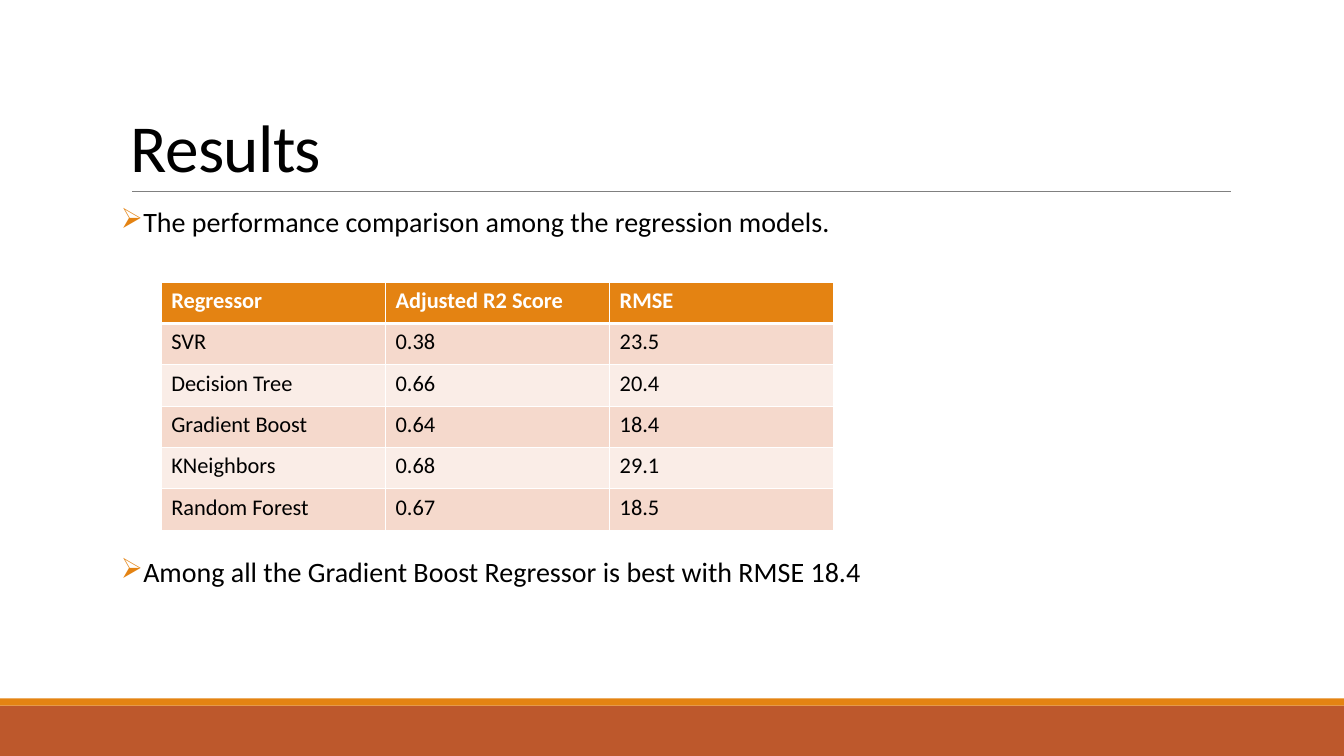
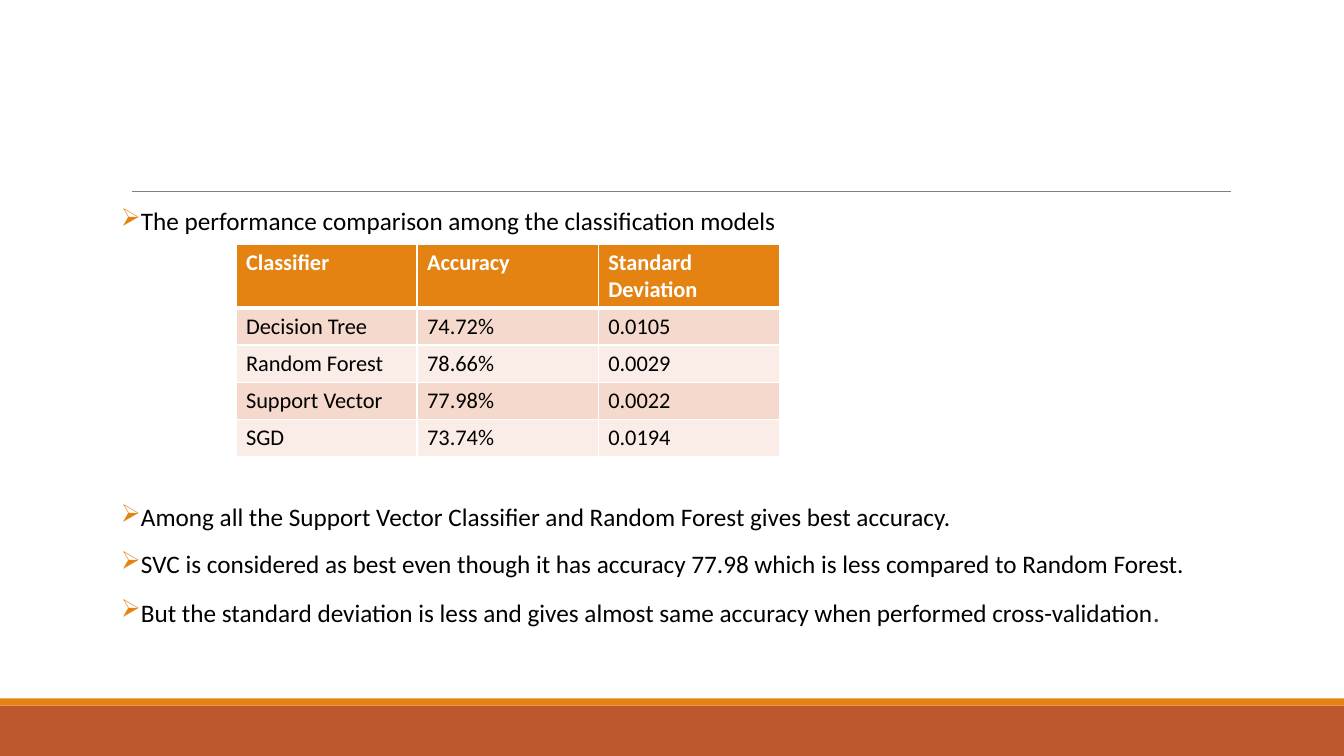
import dataclasses

import lxml.etree
import pptx
import pptx.dml.color
import pptx.enum.shapes
import pptx.enum.text
import pptx.oxml.ns
import pptx.util

Inches = pptx.util.Inches
Pt = pptx.util.Pt
qn = pptx.oxml.ns.qn


def rgb(value):
    return pptx.dml.color.RGBColor.from_string(value)


def add_xml(parent, tag, **attributes):
    return lxml.etree.SubElement(parent, qn(tag), attributes)


@dataclasses.dataclass(frozen=True)
class Theme:
    font: str = "Calibri"
    text: str = "000000"
    soft_text: str = "404040"
    white: str = "FFFFFF"
    accent: str = "E48312"
    footer: str = "BD582C"
    rule: str = "808080"
    bands: tuple = ("F5D9CC", "FAEDE7")
    title_size: int = 48
    large_size: int = 20
    body_size: int = 18
    table_size: int = 16
    border: int = 1
    header_border: int = 3


class Deck:
    """Builds slides that share one theme, footer and title rule."""

    def __init__(self, theme):
        self.theme = theme
        self.presentation = pptx.Presentation()
        self.presentation.slide_width = Inches(13.33)
        self.presentation.slide_height = Inches(7.5)
        self.slide = None

    def add_slide(self):
        self.slide = self.presentation.slides.add_slide(self.presentation.slide_layouts[6])
        self.add_band(7, 0.5, self.theme.footer)
        self.add_band(6.93, 0.07, self.theme.accent)
        self.add_rule(1.31, 12.21, 1.9)

    def add_band(self, top, height, color):
        shape = self.slide.shapes.add_shape(
            pptx.enum.shapes.MSO_SHAPE.RECTANGLE,
            0, Inches(top), self.presentation.slide_width, Inches(height))
        shape.shadow.inherit = False
        shape.fill.solid()
        shape.fill.fore_color.rgb = rgb(color)
        shape.line.fill.background()

    def add_rule(self, left, right, top):
        connector = self.slide.shapes.add_connector(
            pptx.enum.shapes.MSO_CONNECTOR.STRAIGHT,
            Inches(left), Inches(top), Inches(right), Inches(top))
        connector.line.color.rgb = rgb(self.theme.rule)
        connector.line.width = Pt(0.5)
        add_xml(connector._element.spPr, "a:effectLst")

    def add_text_frame(self, top, height):
        shape = self.slide.shapes.add_textbox(
            Inches(1.2), Inches(top), Inches(11), Inches(height))
        shape.text_frame.word_wrap = True
        return shape.text_frame

    def style_font(self, font, size, color, bold=False):
        font.name = self.theme.font
        font.size = Pt(size)
        font.bold = bold
        font.color.rgb = rgb(color)

    def add_title(self, text):
        frame = self.add_text_frame(0.31, 1.59)
        frame.vertical_anchor = pptx.enum.text.MSO_ANCHOR.BOTTOM
        paragraph = frame.paragraphs[0]
        paragraph.line_spacing = 0.85
        self.style_font(paragraph.font, self.theme.title_size, self.theme.text)
        run = paragraph.add_run()
        run.text = text
        run._r.get_or_add_rPr().set("spc", "-50")

    def add_bullets(self, texts, size, table_gap):
        """Writes bullets, leaving table_gap points after the first one."""
        frame = self.add_text_frame(2.02, 4.4)
        frame.margin_left = frame.margin_right = 0
        for index, text in enumerate(texts):
            paragraph = frame.add_paragraph() if index else frame.paragraphs[0]
            paragraph.line_spacing = 0.9
            paragraph.space_before = Pt(table_gap if index == 1 else 12)
            paragraph.space_after = Pt(2)
            self.add_bullet_mark(paragraph)
            self.style_font(paragraph.font, size, self.theme.text)
            paragraph.add_run().text = text
        return frame

    def add_bullet_mark(self, paragraph):
        properties = paragraph._p.get_or_add_pPr()
        properties.set("marL", str(Inches(0.1)))
        properties.set("indent", str(-Inches(0.1)))
        color = add_xml(properties, "a:buClr")
        add_xml(color, "a:srgbClr", val=self.theme.accent)
        add_xml(properties, "a:buChar", char="\u27a2")

    def add_table(self, rows, left, top, width, header_height, row_height):
        height = header_height + row_height * (len(rows) - 1)
        table = self.slide.shapes.add_table(
            len(rows), len(rows[0]),
            Inches(left), Inches(top), Inches(width), Inches(height)).table
        for row_index, values in enumerate(rows):
            table.rows[row_index].height = Inches(row_height if row_index else header_height)
            for column_index, value in enumerate(values):
                self.fill_cell(table.cell(row_index, column_index), value, row_index)

    def fill_cell(self, cell, value, row_index):
        theme = self.theme
        is_header = row_index == 0
        top_border = theme.header_border if row_index == 1 else theme.border
        bottom_border = theme.header_border if is_header else theme.border
        self.add_borders(cell, theme.border, theme.border, top_border, bottom_border)
        cell.fill.solid()
        cell.fill.fore_color.rgb = rgb(theme.accent if is_header else theme.bands[(row_index - 1) % 2])
        cell.text = value
        self.style_font(cell.text_frame.paragraphs[0].font, theme.table_size,
                        theme.white if is_header else theme.text, is_header)

    def add_borders(self, cell, *widths):
        properties = cell._tc.get_or_add_tcPr()
        for side, width in zip("LRTB", widths):
            line = add_xml(properties, f"a:ln{side}", w=str(Pt(width)))
            add_xml(add_xml(line, "a:solidFill"), "a:srgbClr", val=self.theme.white)


theme = Theme()
deck = Deck(theme)

deck.add_slide()
deck.add_title("Results")
deck.add_bullets([
    "The performance comparison among the regression models.",
    "Among all the Gradient Boost Regressor is best with RMSE 18.4",
], theme.large_size, table_gap=226)
deck.add_table([
    ("Regressor", "Adjusted R2 Score", "RMSE"),
    ("SVR", "0.38", "23.5"),
    ("Decision Tree", "0.66", "20.4"),
    ("Gradient Boost", "0.64", "18.4"),
    ("KNeighbors", "0.68", "29.1"),
    ("Random Forest", "0.67", "18.5"),
], 1.6, 2.8, 6.67, header_height=0.41, row_height=0.41)

deck.add_slide()
conclusions = deck.add_bullets([
    "The performance comparison among the classification models",
    "Among all the Support Vector Classifier and Random Forest gives best accuracy.",
    "SVC is considered as best even though it has accuracy 77.98 which is less compared to Random Forest.",
    "But the standard deviation is less and gives almost same accuracy when performed cross-validation",
], theme.body_size, table_gap=190)
full_stop = conclusions.paragraphs[-1].add_run()
full_stop.text = "."
deck.style_font(full_stop.font, theme.large_size, theme.soft_text)
deck.add_table([
    ("Classifier", "Accuracy", "Standard Deviation"),
    ("Decision Tree", "74.72%", "0.0105"),
    ("Random Forest", "78.66%", "0.0029"),
    ("Support Vector", "77.98%", "0.0022"),
    ("SGD", "73.74%", "0.0194"),
], 2.34, 2.42, 5.39, header_height=0.63, row_height=0.37)

deck.presentation.save("out.pptx")
